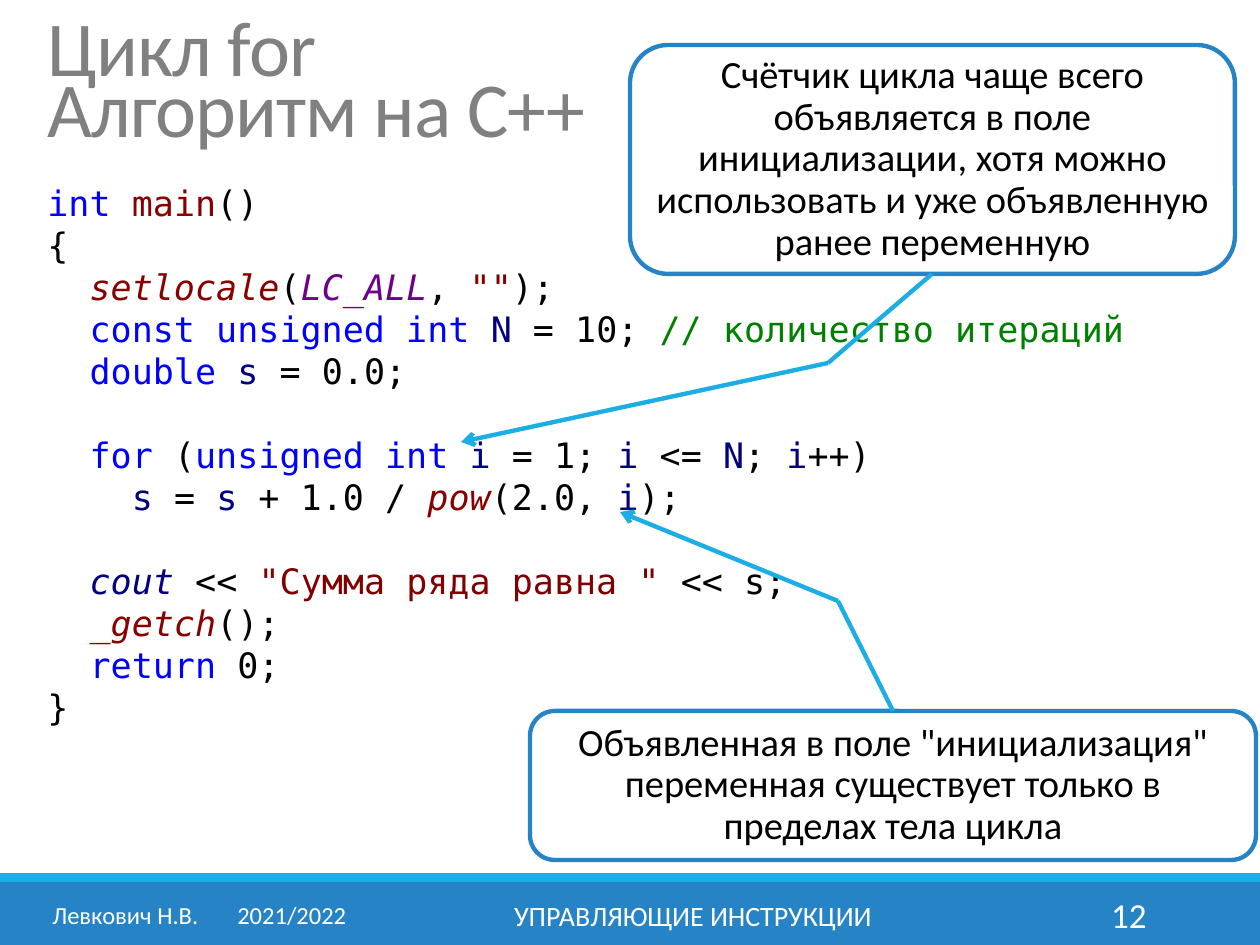
from collections import namedtuple
from dataclasses import dataclass
from itertools import pairwise

from lxml import etree
from pptx import Presentation
from pptx import util as u
from pptx.dml.color import RGBColor
from pptx.enum import shapes, text
from pptx.oxml.ns import qn

Box = namedtuple("Box", "left top width height")
Style = namedtuple("Style", "color italic", defaults=[False])


@dataclass(frozen=True)
class Theme:
    """Colours, fonts and type sizes of the slide."""
    band: str = "2683C6"
    accent: str = "1CADE4"
    white: str = "FFFFFF"
    black: str = "000000"
    heading: str = "808080"
    sans: str = "Calibri"
    mono: str = "DejaVu Sans Mono"
    title_size: float = 44.4
    callout_size: int = 22
    code_size: int = 20
    line_width: float = 2.5


THEME = Theme()
SYNTAX = {
    "plain": Style("000000"),
    "keyword": Style("0000FF"),
    "function": Style("880000"),
    "call": Style("880000", True),
    "macro": Style("6F008A", True),
    "string": Style("800000"),
    "variable": Style("000080"),
    "stream": Style("000080", True),
    "comment": Style("008000"),
}
CODE = [
    [("int", "keyword"), (" ", "plain"), ("main", "function"), ("()", "plain")],
    [("{", "plain")],
    [("  ", "plain"), ("setlocale", "call"), ("(", "plain"), ("LC_ALL", "macro"),
     (", ", "plain"), ('""', "string"), (");", "plain")],
    [("  const unsigned int ", "keyword"), ("N", "variable"), (" = 10; ", "plain"),
     ("// количество итераций", "comment")],
    [("  double ", "keyword"), ("s", "variable"), (" = 0.0;", "plain")],
    [],
    [("  for", "keyword"), (" (", "plain"), ("unsigned int ", "keyword"),
     ("i", "variable"), (" = 1; ", "plain"), ("i", "variable"), (" <= ", "plain"),
     ("N", "variable"), ("; ", "plain"), ("i", "variable"), ("++)", "plain")],
    [("    s", "variable"), (" = ", "plain"), ("s", "variable"), (" + 1.0 / ", "plain"),
     ("pow", "call"), ("(2.0, ", "plain"), ("i", "variable"), (");", "plain")],
    [],
    [("  ", "plain"), ("cout", "stream"), (" << ", "plain"),
     ('"Сумма ряда равна "', "string"), (" << s;", "plain")],
    [("  ", "plain"), ("_getch", "call"), ("();", "plain")],
    [("  return", "keyword"), (" 0;", "plain")],
    [("}", "plain")],
]


def px(length):
    """Turn slide pixels into EMU."""
    return u.Emu(round(length * u.Inches(1) / 126))


def write(shape, paragraphs, *, size, font=THEME.sans, align="LEFT",
          anchor="MIDDLE", leading=None, tracking=None, tab=None):
    """Fill a shape with paragraphs given as lists of (text, Style) spans."""
    frame = shape.text_frame
    frame.word_wrap = True
    frame.vertical_anchor = getattr(text.MSO_ANCHOR, anchor)
    for index, spans in enumerate(paragraphs):
        para = frame.add_paragraph() if index else frame.paragraphs[0]
        para.alignment = getattr(text.PP_ALIGN, align)
        para.line_spacing = leading
        if tab:
            tabs = etree.SubElement(para._p.get_or_add_pPr(), qn("a:tabLst"))
            etree.SubElement(tabs, qn("a:tab"), pos=str(px(tab)), algn="l")
        for words, style in spans:
            for part, line in enumerate(words.split("\n")):
                if part:
                    para.add_line_break()
                span = para.add_run()
                span.text = line
                span.font.size = u.Pt(size)
                span.font.name = font
                span.font.italic = style.italic
                span.font.color.rgb = RGBColor.from_string(style.color)
                if tracking:
                    span.font._element.set("spc", str(tracking))


def add_text(page, box, words, color, **layout):
    """Place one paragraph of text in a box."""
    write(page.shapes.add_textbox(*map(px, box)), [[(words, Style(color))]], **layout)


def add_panel(page, kind, box, fill, outline=None):
    """Place a filled preset shape, outlined if a colour is given."""
    panel = page.shapes.add_shape(kind, *map(px, box))
    panel.shadow.inherit = False
    panel.fill.solid()
    panel.fill.fore_color.rgb = RGBColor.from_string(fill)
    if outline:
        panel.line.color.rgb = RGBColor.from_string(outline)
        panel.line.width = u.Pt(THEME.line_width)
    else:
        panel.line.fill.background()
    return panel


def add_leader(page, points):
    """Join points with straight segments, the last one ending in an arrowhead."""
    for start, end in pairwise(points):
        segment = page.shapes.add_connector(
            shapes.MSO_CONNECTOR.STRAIGHT, *map(px, (*start, *end)))
        segment.line.color.rgb = RGBColor.from_string(THEME.accent)
        segment.line.width = u.Pt(THEME.line_width)
        etree.SubElement(segment._element.spPr, qn("a:effectLst"))
    etree.SubElement(segment.line._get_or_add_ln(), qn("a:tailEnd"), type="arrow")


def add_callout(page, box, words, leader):
    """Draw a rounded note and a leader whose points are relative to its corner."""
    note = add_panel(page, shapes.MSO_SHAPE.ROUNDED_RECTANGLE, box,
                     THEME.white, THEME.band)
    write(note, [[(words, Style(THEME.black))]], size=THEME.callout_size,
          align="CENTER", leading=0.9)
    add_leader(page, [(box.left + x, box.top + y) for x, y in leader])


def add_title(page, box):
    """Place the two-line heading."""
    add_text(page, box, "Цикл for\nАлгоритм на C++", THEME.heading,
             size=THEME.title_size, leading=0.65, tracking=-50)


def add_code(page, box):
    """Place the coloured program listing."""
    lines = [[(words, SYNTAX[kind]) for words, kind in line] for line in CODE]
    write(page.shapes.add_textbox(*map(px, box)), lines, size=THEME.code_size,
          font=THEME.mono, anchor="TOP", leading=u.Pt(24))


def add_footer(page, box):
    """Draw the bottom band with author, year, topic and page number."""
    strip = 9
    band = Box(box.left, box.top + strip, box.width, box.height - strip)
    add_panel(page, shapes.MSO_SHAPE.RECTANGLE, band, THEME.band)
    add_panel(page, shapes.MSO_SHAPE.RECTANGLE, box._replace(height=strip), THEME.accent)
    for left, width, words, layout in (
        (40, 329, "Левкович Н.В.\t2021/2022", dict(size=14, tab=185)),
        (380, 626, "УПРАВЛЯЮЩИЕ ИНСТРУКЦИИ", dict(size=16, align="CENTER")),
        (1023, 136, "12", dict(size=20, align="RIGHT")),
    ):
        field = Box(box.left + left, band.top + 8, width, 50)
        add_text(page, field, words, THEME.white, **layout)


def main():
    """Build and save the slide."""
    deck = Presentation()
    deck.slide_width, deck.slide_height = px(1260), px(945)
    page = deck.slides.add_slide(deck.slide_layouts[6])
    add_footer(page, Box(0, 873, 1260, 72))
    add_code(page, Box(35, 175, 1225, 572))
    add_title(page, Box(35, 16, 1201, 145))
    add_callout(
        page, Box(630, 45, 605, 229),
        "Счётчик цикла чаще всего объявляется в поле инициализации, хотя можно "
        "использовать и уже объявленную ранее переменную",
        [(302, 229), (198, 318), (-169, 397)])
    add_callout(
        page, Box(530, 711, 726, 149),
        'Объявленная в поле "инициализация" переменная существует только в '
        "пределах тела цикла",
        [(363, 0), (308, -110), (90, -199)])
    deck.save("out.pptx")


if __name__ == "__main__":
    main()
